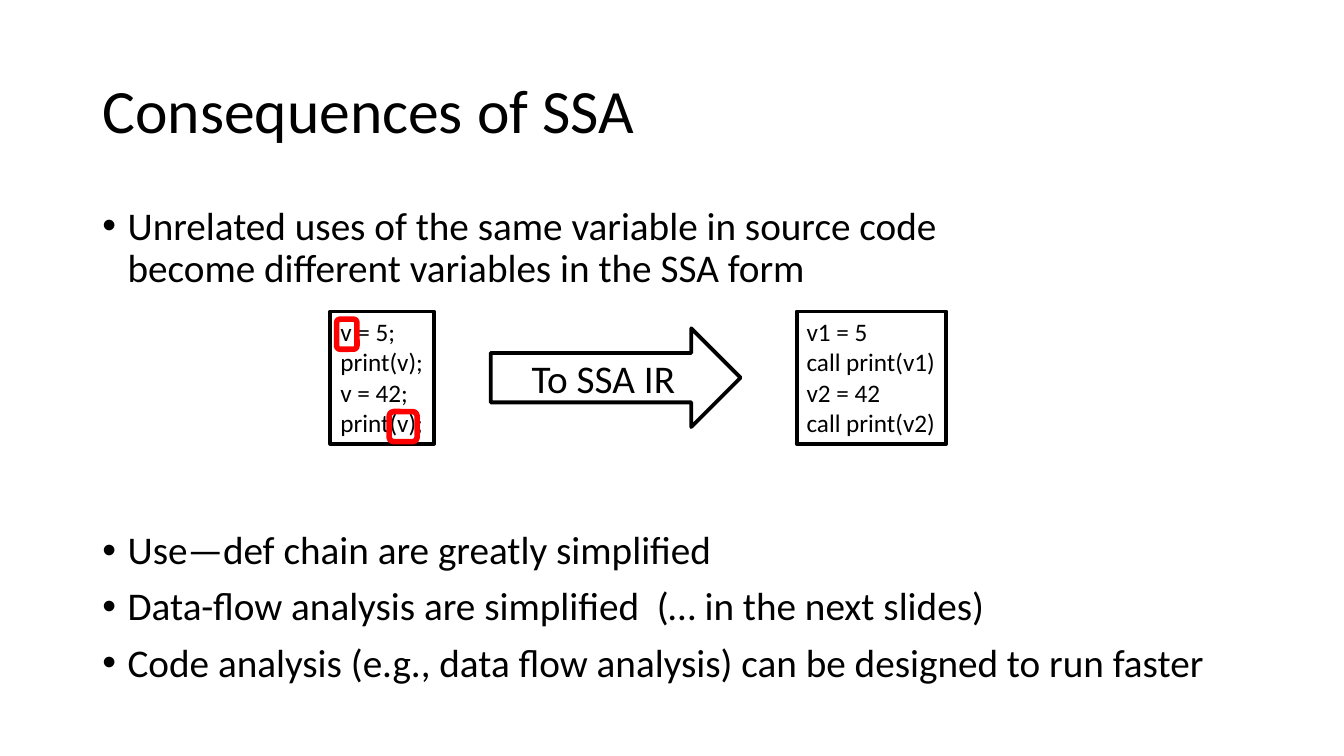
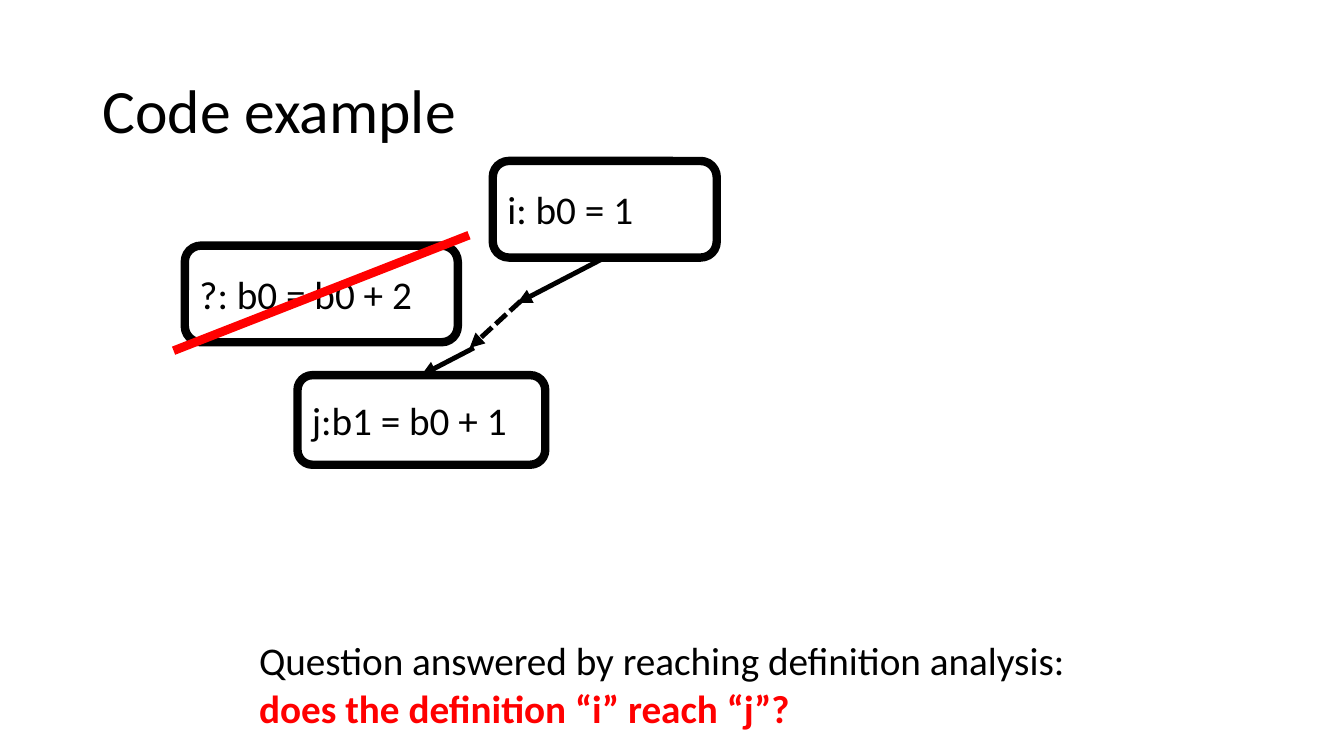
"""Build two slides about static single assignment form."""
from lxml.etree import SubElement
from pptx import Presentation
from pptx.dml.color import RGBColor
from pptx.enum.dml import MSO_LINE
from pptx.enum.shapes import MSO_CONNECTOR, MSO_SHAPE
from pptx.enum.text import MSO_ANCHOR, MSO_AUTO_SIZE, PP_ALIGN
from pptx.oxml.ns import qn
from pptx.util import Pt

COLORS = {"ink": "000000", "accent": "FF0000"}
FONT = "Calibri"


def write(frame, lines, size=28, color="ink", bold=False, align=PP_ALIGN.LEFT,
          anchor=MSO_ANCHOR.TOP, wrap=True, spacing=None, gaps=None, bullets=False):
    frame.auto_size = MSO_AUTO_SIZE.NONE
    frame.word_wrap = wrap
    frame.vertical_anchor = anchor
    for index, line in enumerate(lines):
        paragraph = frame.paragraphs[0] if index == 0 else frame.add_paragraph()
        paragraph.text = line
        paragraph.alignment = align
        paragraph.line_spacing = spacing
        paragraph.space_before = Pt(gaps[index] if gaps else 0)
        if bullets:
            properties = paragraph._p.get_or_add_pPr()
            properties.set("marL", str(Pt(18)))
            properties.set("indent", str(Pt(-18)))
            SubElement(properties, qn("a:buFont")).set("typeface", "Arial")
            SubElement(properties, qn("a:buChar")).set("char", "•")
        paragraph.font.name = FONT
        paragraph.font.size = Pt(size)
        paragraph.font.bold = bold
        paragraph.font.color.rgb = RGBColor.from_string(COLORS[color])


def outline(page, kind, bounds, width, color="ink"):
    shape = page.shapes.add_shape(kind, *map(Pt, bounds))
    shape.shadow.inherit = False
    shape.fill.background()
    shape.line.width = Pt(width)
    shape.line.color.rgb = RGBColor.from_string(COLORS[color])
    return shape


deck = Presentation()
deck.slide_width, deck.slide_height = Pt(960), Pt(540)

pages = []
for layout, heading in [(1, "Consequences of SSA"), (5, "Code example")]:
    page = deck.slides.add_slide(deck.slide_layouts[layout])
    title = page.shapes.title
    title.left, title.top, title.width, title.height = map(Pt, (66, 29, 828, 104))
    write(title.text_frame, [heading], size=44, anchor=MSO_ANCHOR.MIDDLE, spacing=0.9)
    pages.append(page)
consequences, example = pages

body = consequences.placeholders[1]
body.left, body.top, body.width, body.height = map(Pt, (66, 144, 828, 356))
points = [
    "Unrelated uses of the same variable in source code \vbecome different variables in the SSA form",
    "Use—def chain are greatly simplified",
    "Data-flow analysis are simplified  (… in the next slides)",
    "Code analysis (e.g., data flow analysis) can be designed to run faster",
]
write(body.text_frame, points, spacing=0.9, gaps=[0, 171, 10, 10], bullets=True)

listings = [
    (236, 74, ["v = 5;", "print(v);", "v = 42;", "print(v);"]),
    (569, 107, ["v1 = 5", "call print(v1)", "v2 = 42", "call print(v2)"]),
]
for left, width, code in listings:
    box = outline(consequences, MSO_SHAPE.RECTANGLE, (left, 222.5, width, 94.5), 2.75)
    write(box.text_frame, code, size=18, wrap=False)

arrow = outline(consequences, MSO_SHAPE.RIGHT_ARROW, (350.5, 234.5, 178.5, 70.5), 2.75)
write(arrow.text_frame, ["To SSA IR"], align=PP_ALIGN.CENTER, anchor=MSO_ANCHOR.MIDDLE)

for bounds in [(240.5, 228, 14.5, 21.5), (278, 294, 20, 21.5)]:
    outline(consequences, MSO_SHAPE.ROUNDED_RECTANGLE, bounds, 4, "accent")

statements = []
for text, bounds in [
    ("j:b1 = b0 + 1", (212.5, 268, 177, 64)),
    ("i: b0 = 1", (352, 115, 160, 69)),
    ("?: b0 = b0 + 2", (132, 175.5, 195, 69)),
]:
    box = outline(example, MSO_SHAPE.ROUNDED_RECTANGLE, bounds, 6)
    write(box.text_frame, [text], anchor=MSO_ANCHOR.MIDDLE)
    statements.append(box)
use, definition, removed = statements

lines = []
for ends, width, color, dash, head in [
    ((432, 184, 369.5, 216.5), 3.5, "ink", None, True),
    ((372, 215, 335.5, 248.5), 3.5, "ink", MSO_LINE.SQUARE_DOT, True),
    ((338.5, 248.5, 301, 268), 3.5, "ink", None, True),
    ((124, 250.5, 335, 168), 6.25, "accent", None, False),
]:
    line = example.shapes.add_connector(MSO_CONNECTOR.STRAIGHT, *map(Pt, ends))
    line.line.width = Pt(width)
    line.line.color.rgb = RGBColor.from_string(COLORS[color])
    if dash:
        line.line.dash_style = dash
    if head:
        SubElement(line.line._get_or_add_ln(), qn("a:tailEnd")).set("type", "triangle")
    SubElement(line._element.spPr, qn("a:effectLst"))
    lines.append(line)
lines[0].begin_connect(definition, 2)
lines[2].end_connect(use, 0)

for text, top, color, bold in [
    ("Question answered by reaching definition analysis:", 451, "ink", False),
    ("does the definition “i” reach “j”?", 485, "accent", True),
]:
    box = example.shapes.add_textbox(Pt(178), Pt(top), Pt(603), Pt(41))
    write(box.text_frame, [text], color=color, bold=bold)

deck.save("out.pptx")
